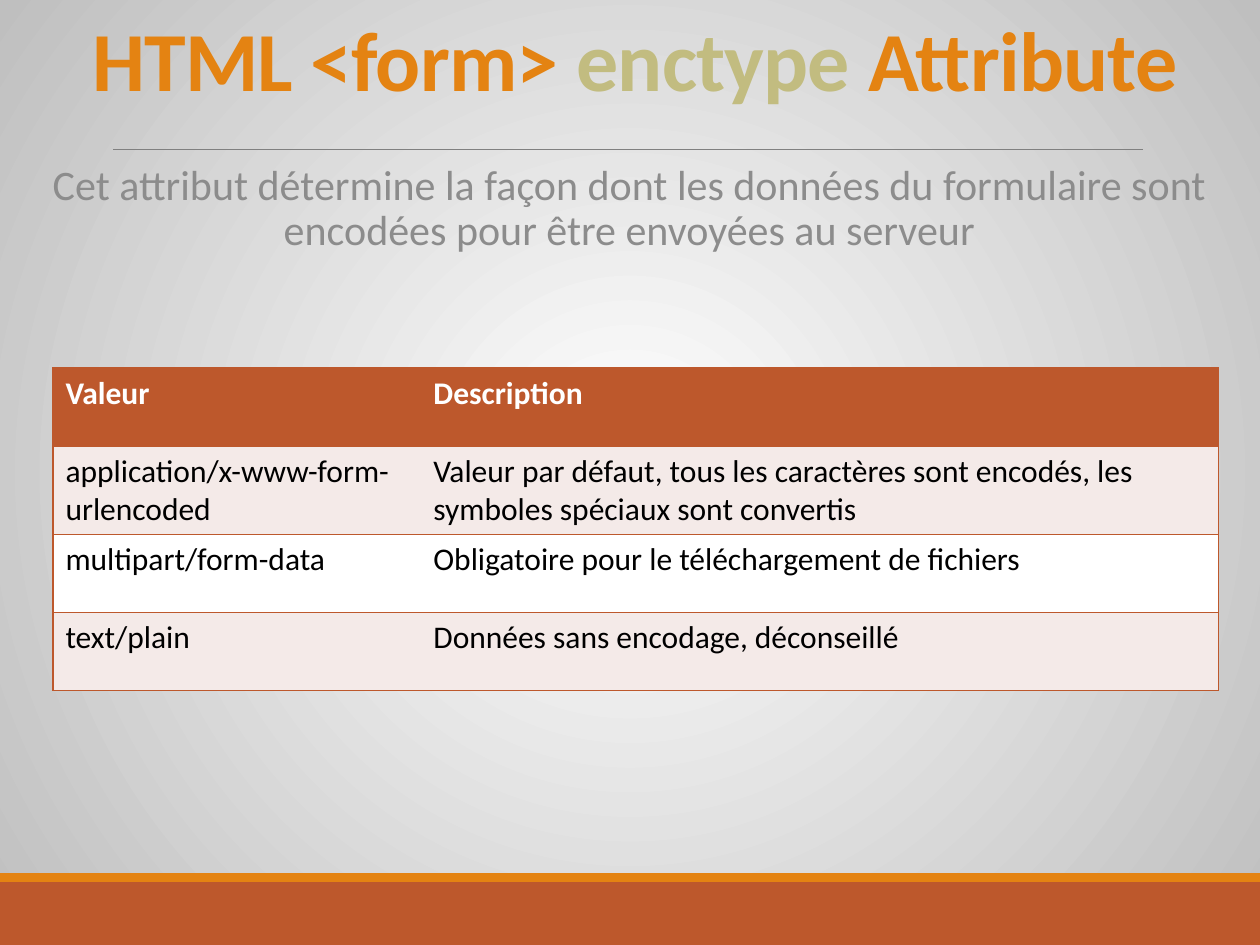
from pptx import Presentation
from pptx import util as u
from pptx.dml.color import RGBColor
from pptx.enum import shapes, text
from pptx.oxml import parse_xml
from pptx.oxml.ns import nsdecls, qn
from lxml import etree

EMU_PER_PX = 9144
FONT = "Calibri"
RUST = RGBColor(0xBD, 0x58, 0x2C)
ORANGE = RGBColor(0xE4, 0x83, 0x12)
OLIVE = RGBColor(0xC2, 0xBC, 0x80)
RULE_GRAY = RGBColor(0x80, 0x80, 0x80)
TEXT_GRAY = RGBColor(0x8C, 0x8C, 0x8C)
EDGE_GRAY = RGBColor(0xBF, 0xBF, 0xBF)
PALE = RGBColor(0xF4, 0xEA, 0xE8)
WHITE = RGBColor(0xFF, 0xFF, 0xFF)
BLACK = RGBColor(0, 0, 0)


def px(*lengths):
    return [u.Emu(length * EMU_PER_PX) for length in lengths]


class SlideBuilder:
    def __init__(self, slide):
        self.slide = slide
        self.shapes = slide.shapes

    def radial_background(self, center, edge):
        stops = "".join(
            f'<a:gs pos="{pos}"><a:srgbClr val="{color}"/></a:gs>'
            for pos, color in ((0, center), (100000, edge))
        )
        background = parse_xml(
            f'<p:bg {nsdecls("p", "a")}><p:bgPr><a:gradFill rotWithShape="1">'
            f'<a:gsLst>{stops}</a:gsLst><a:path path="circle">'
            '<a:fillToRect l="50000" t="50000" r="50000" b="50000"/></a:path>'
            '</a:gradFill><a:effectLst/></p:bgPr></p:bg>'
        )
        self.slide.element.find(qn("p:cSld")).insert(0, background)

    def band(self, left, top, width, height, color):
        band = self.shapes.add_shape(
            shapes.MSO_SHAPE.RECTANGLE, *px(left, top, width, height))
        band.shadow.inherit = False
        band.fill.solid()
        band.fill.fore_color.rgb = color
        band.line.fill.background()

    def rule(self, x1, x2, y, color, points):
        rule = self.shapes.add_connector(
            shapes.MSO_CONNECTOR.STRAIGHT, *px(x1, y, x2, y))
        rule.line.color.rgb = color
        rule.line.width = u.Pt(points)
        etree.SubElement(rule.element.spPr, qn("a:effectLst"))

    def centered_text(self, box, parts, size, line_spacing, anchor,
                      side_inset=10, bold=False, tracking=0):
        frame = self.shapes.add_textbox(*px(*box)).text_frame
        frame.word_wrap = True
        frame.vertical_anchor = anchor
        frame.margin_left, frame.margin_right = px(side_inset, side_inset)
        paragraph = frame.paragraphs[0]
        paragraph.alignment = text.PP_ALIGN.CENTER
        paragraph.line_spacing = line_spacing
        paragraph.font.name = FONT
        paragraph.font.size = u.Pt(size)
        paragraph.font.bold = bold
        for words, color in parts:
            run = paragraph.add_run()
            run.text = words
            run.font.color.rgb = color
            if tracking:
                run.font._element.set("spc", str(tracking))

    def border(self, cell, side, color=None):
        properties = cell._tc.get_or_add_tcPr()
        line = etree.SubElement(properties, qn(f"a:ln{side}"), w=str(u.Pt(1)))
        if color is None:
            etree.SubElement(line, qn("a:noFill"))
        else:
            fill = etree.SubElement(line, qn("a:solidFill"))
            etree.SubElement(fill, qn("a:srgbClr"), val=str(color))

    def cell(self, cell, words, fill, color, bold, outer_side):
        for side in "LRTB":
            inner = side in "LR" and side != outer_side
            self.border(cell, side, None if inner else RUST)
        cell.fill.solid()
        cell.fill.fore_color.rgb = fill
        cell.text = words
        font = cell.text_frame.paragraphs[0].font
        font.name = FONT
        font.size = u.Pt(18)
        font.bold = bold
        font.color.rgb = color

    def table(self, left, top, widths, row_height, rows):
        table = self.shapes.add_table(
            len(rows), len(widths),
            *px(left, top, sum(widths), row_height * len(rows))).table
        table.horz_banding = False
        table.first_row = False
        for column, width in zip(table.columns, px(*widths)):
            column.width = width
        for r, row in enumerate(rows):
            header = r == 0
            fill = RUST if header else (PALE if r % 2 else WHITE)
            for c, words in enumerate(row):
                self.cell(table.cell(r, c), words, fill,
                          WHITE if header else BLACK, header, "LR"[c])


def main():
    deck = Presentation()
    deck.slide_width, deck.slide_height = px(1000, 750)
    builder = SlideBuilder(deck.slides.add_slide(deck.slide_layouts[6]))

    builder.radial_background(WHITE, EDGE_GRAY)
    builder.band(0, 700, 1000, 50, RUST)
    builder.band(0, 693, 1000, 7, ORANGE)
    builder.rule(90, 907, 119, RULE_GRAY, 0.5)

    title = [("HTML <form> ", ORANGE), ("enctype ", OLIVE), ("Attribute", ORANGE)]
    builder.centered_text((8, 8, 992, 83), title, 48, 0.85,
                          text.MSO_ANCHOR.BOTTOM, bold=True, tracking=-50)
    summary = [("Cet attribut détermine la façon dont les données du formulaire "
                "sont encodées pour être envoyées au serveur", TEXT_GRAY)]
    builder.centered_text((8, 125, 983, 558), summary, 24, 0.9,
                          text.MSO_ANCHOR.TOP, side_inset=0)

    encodings = [
        ("Valeur", "Description"),
        ("application/x-www-form-urlencoded",
         "Valeur par défaut, tous les caractères sont encodés, "
         "les symboles spéciaux sont convertis"),
        ("multipart/form-data", "Obligatoire pour le téléchargement de fichiers"),
        ("text/plain", "Données sans encodage, déconseillé"),
    ]
    builder.table(42, 292, (292, 633), 62, encodings)
    deck.save("out.pptx")


if __name__ == "__main__":
    main()
